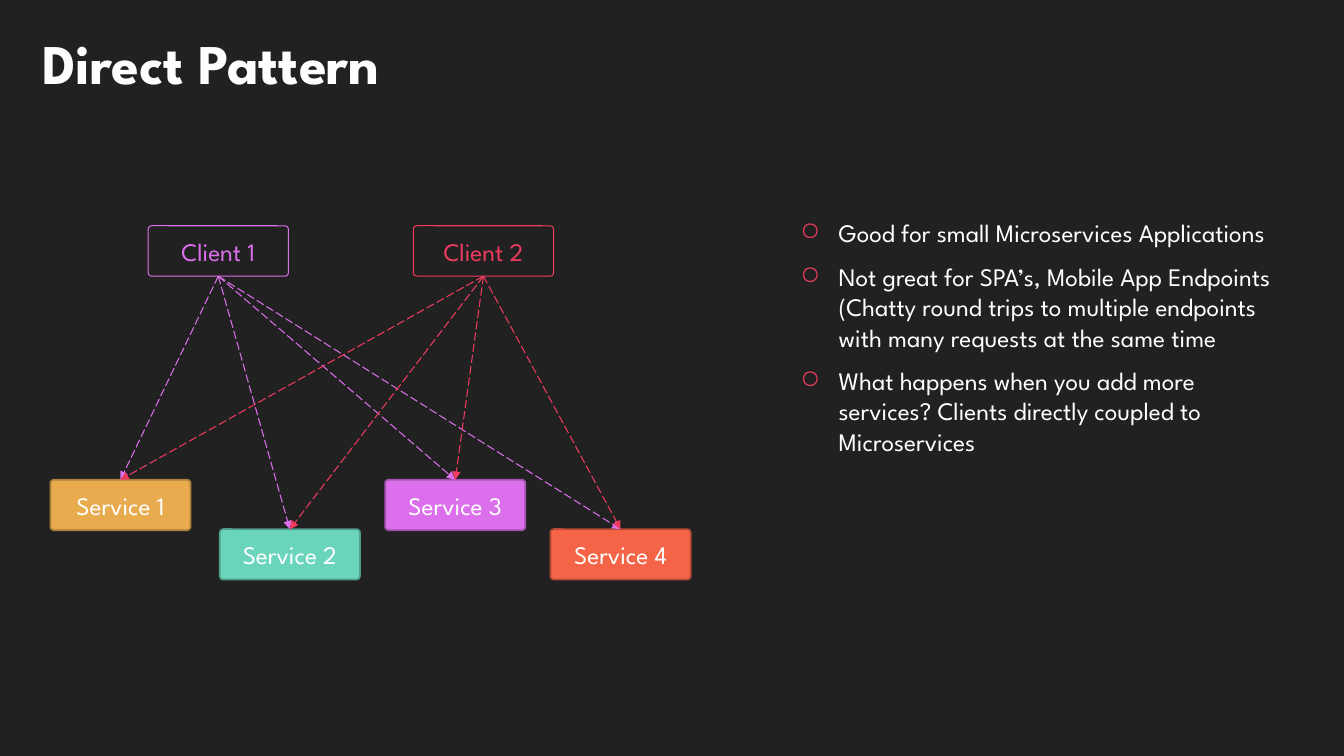
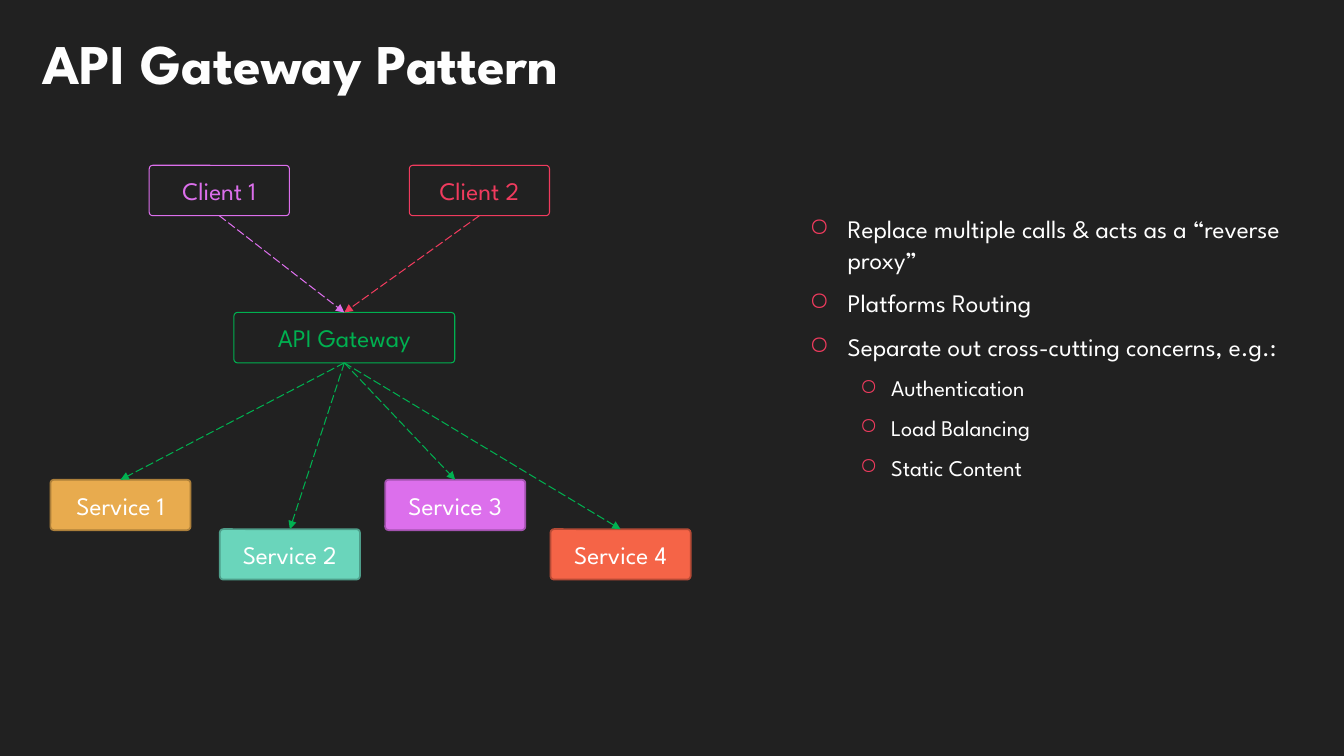
from lxml import etree
from pptx import Presentation
from pptx import util as u
from pptx.dml.color import RGBColor
from pptx.enum import dml, shapes, text
from pptx.oxml import ns

FONT = "League Spartan"
DARK = RGBColor(0x21, 0x21, 0x21)
PALE = RGBColor(0xFE, 0xFE, 0xFE)
WHITE = RGBColor(0xFF, 0xFF, 0xFF)
PINK = RGBColor(0xDC, 0x6F, 0xEC)
RED = RGBColor(0xF0, 0x3B, 0x5E)
GREEN = RGBColor(0x00, 0xB0, 0x50)
GOLD = RGBColor(0xE8, 0xAB, 0x4E)
TEAL = RGBColor(0x6A, 0xD5, 0xBB)
CORAL = RGBColor(0xF5, 0x64, 0x47)
GOLD_EDGE = RGBColor(0xAC, 0x7F, 0x3A)
TEAL_EDGE = RGBColor(0x4E, 0x9E, 0x8A)
PINK_EDGE = RGBColor(0xA3, 0x52, 0xAF)
CORAL_EDGE = RGBColor(0xB5, 0x4A, 0x35)

WIDE, HIGH = 1.39, 0.5
HIGH_ROW, LOW_ROW = 4.76, 5.25
SERVICES = [
    ("Service 1", 0.5, HIGH_ROW, GOLD, GOLD_EDGE),
    ("Service 2", 2.18, LOW_ROW, TEAL, TEAL_EDGE),
    ("Service 3", 3.82, HIGH_ROW, PINK, PINK_EDGE),
    ("Service 4", 5.46, LOW_ROW, CORAL, CORAL_EDGE),
]
LEVELS = [(18, 0.38, 0.38), (16, 0.81, 0.31)]

PAGES = [
    {
        "title": "Direct Pattern",
        "width": 4.03,
        "clients": [("Client 1", 1.47, 2.24, PINK), ("Client 2", 4.1, 2.24, RED)],
        "gate": None,
        "list": (7.84, 2.11),
        "points": [
            (0, "Good for small Microservices Applications"),
            (0, "Not great for SPA’s, Mobile App Endpoints (Chatty round trips "
                "to multiple endpoints with many requests at the same time"),
            (0, "What happens when you add more services? Clients directly "
                "coupled to Microservices"),
        ],
    },
    {
        "title": "API Gateway Pattern",
        "width": 5.98,
        "clients": [("Client 1", 1.48, 1.64, PINK), ("Client 2", 4.06, 1.64, RED)],
        "gate": ("API Gateway", 2.32, 3.1, GREEN),
        "list": (7.93, 2.07),
        "points": [
            (0, "Replace multiple calls & acts as a “reverse proxy”"),
            (0, "Platforms Routing"),
            (0, "Separate out cross-cutting concerns, e.g.:"),
            (1, "Authentication"),
            (1, "Load Balancing"),
            (1, "Static Content"),
        ],
    },
]


def write(para, words, size=18, color=WHITE, bold=False, align=None):
    para.alignment = align
    run = para.add_run()
    run.text = words
    run.font.name = FONT
    run.font.size = u.Pt(size)
    run.font.bold = bold
    run.font.color.rgb = color


def draw_box(slide, words, left, top, edge, fill=None, width=WIDE):
    box = slide.shapes.add_shape(
        shapes.MSO_SHAPE.ROUNDED_RECTANGLE,
        u.Inches(left), u.Inches(top), u.Inches(width), u.Inches(HIGH))
    box.shadow.inherit = False
    box.adjustments[0] = 0.07
    box.line.color.rgb = edge
    if fill is None:
        box.fill.background()
        box.line.width = u.Pt(0.75)
    else:
        box.fill.solid()
        box.fill.fore_color.rgb = fill
        box.line.width = u.Pt(1.25)
    frame = box.text_frame
    frame.vertical_anchor = text.MSO_ANCHOR.MIDDLE
    write(frame.paragraphs[0], words, color=WHITE if fill is not None else edge,
          align=text.PP_ALIGN.CENTER)
    return box


prs = Presentation()
prs.slide_width = u.Inches(13.33)
prs.slide_height = u.Inches(7.5)
back = prs.slide_master.background.fill
back.solid()
back.fore_color.rgb = DARK

for page in PAGES:
    slide = prs.slides.add_slide(prs.slide_layouts[6])

    title = slide.shapes.add_textbox(
        u.Inches(0.32), u.Inches(0.23), u.Inches(page["width"]), u.Inches(0.85))
    write(title.text_frame.paragraphs[0], page["title"], size=40, color=PALE, bold=True)

    clients = [(draw_box(slide, *client), client[3]) for client in page["clients"]]
    targets = [draw_box(slide, name, left, top, edge, fill)
               for name, left, top, fill, edge in SERVICES]

    if page["gate"]:
        gate = draw_box(slide, *page["gate"], width=2.19)
        links = [(client, gate, color) for client, color in clients]
        links += [(gate, target, GREEN) for target in targets]
    else:
        links = [(client, target, color)
                 for client, color in clients for target in targets]

    for start, end, color in links:
        link = slide.shapes.add_connector(shapes.MSO_CONNECTOR.STRAIGHT, 0, 0, 0, 0)
        link.begin_connect(start, 2)
        link.end_connect(end, 0)
        link.line.color.rgb = color
        link.line.width = u.Pt(0.75)
        link.line.dash_style = dml.MSO_LINE.LONG_DASH
        props = link._element.spPr
        etree.SubElement(props.find(ns.qn("a:ln")), ns.qn("a:tailEnd"), type="triangle")
        etree.SubElement(props, ns.qn("a:effectLst"))

    left, top = page["list"]
    body = slide.shapes.add_textbox(
        u.Inches(left), u.Inches(top), u.Inches(4.9), u.Inches(3.39))
    frame = body.text_frame
    frame.word_wrap = True
    for i, (level, words) in enumerate(page["points"]):
        para = frame.add_paragraph() if i else frame.paragraphs[0]
        size, margin, hang = LEVELS[level]
        write(para, words, size=size)
        para.level = level
        para.space_before = u.Pt(size * 0.2)
        para.space_after = u.Pt(6)
        props = para._p.get_or_add_pPr()
        props.set("marL", str(u.Inches(margin)))
        props.set("indent", str(-u.Inches(hang)))
        tint = etree.SubElement(props, ns.qn("a:buClr"))
        etree.SubElement(tint, ns.qn("a:srgbClr"), val=str(RED))
        etree.SubElement(props, ns.qn("a:buChar"), char="○")

prs.save("out.pptx")
